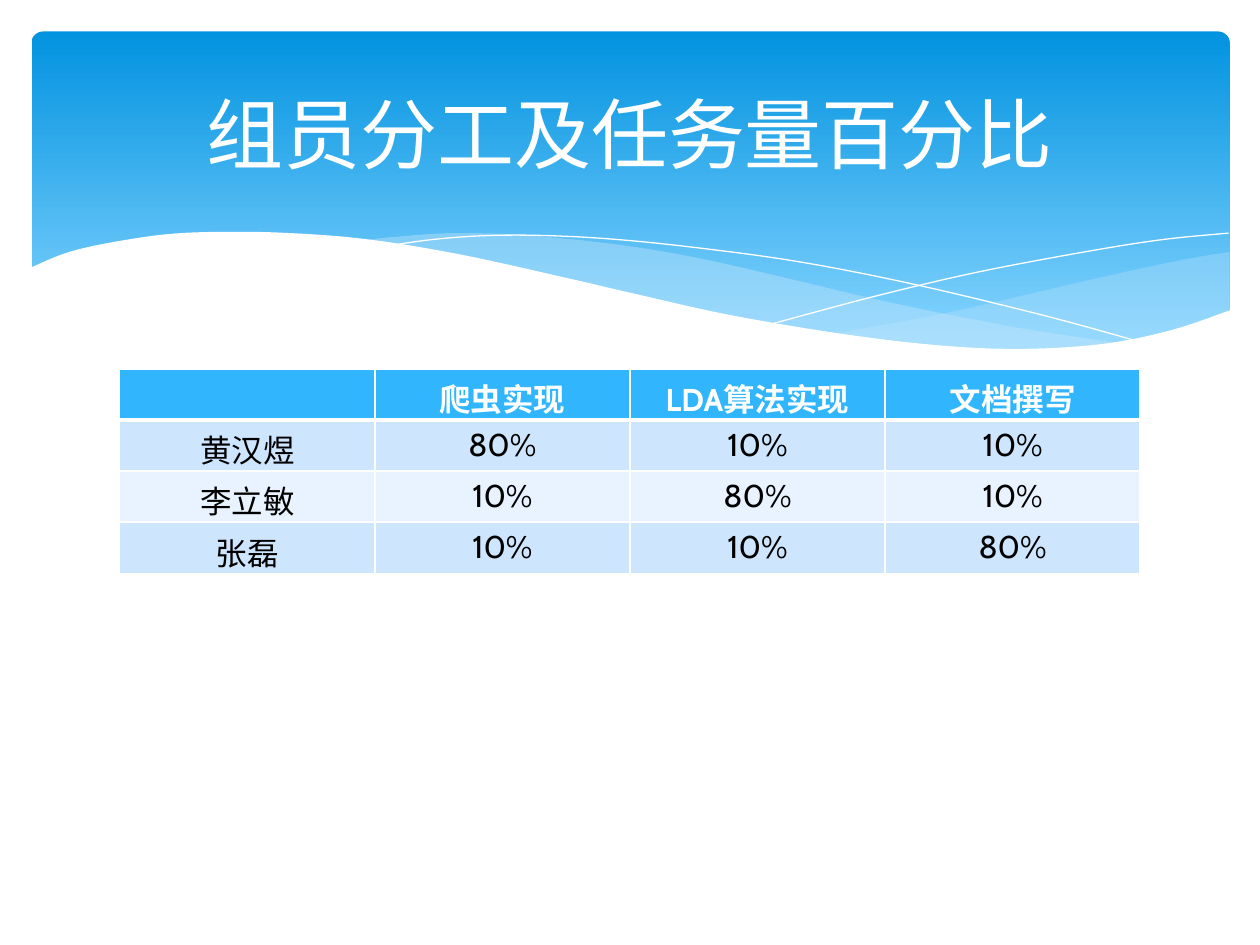
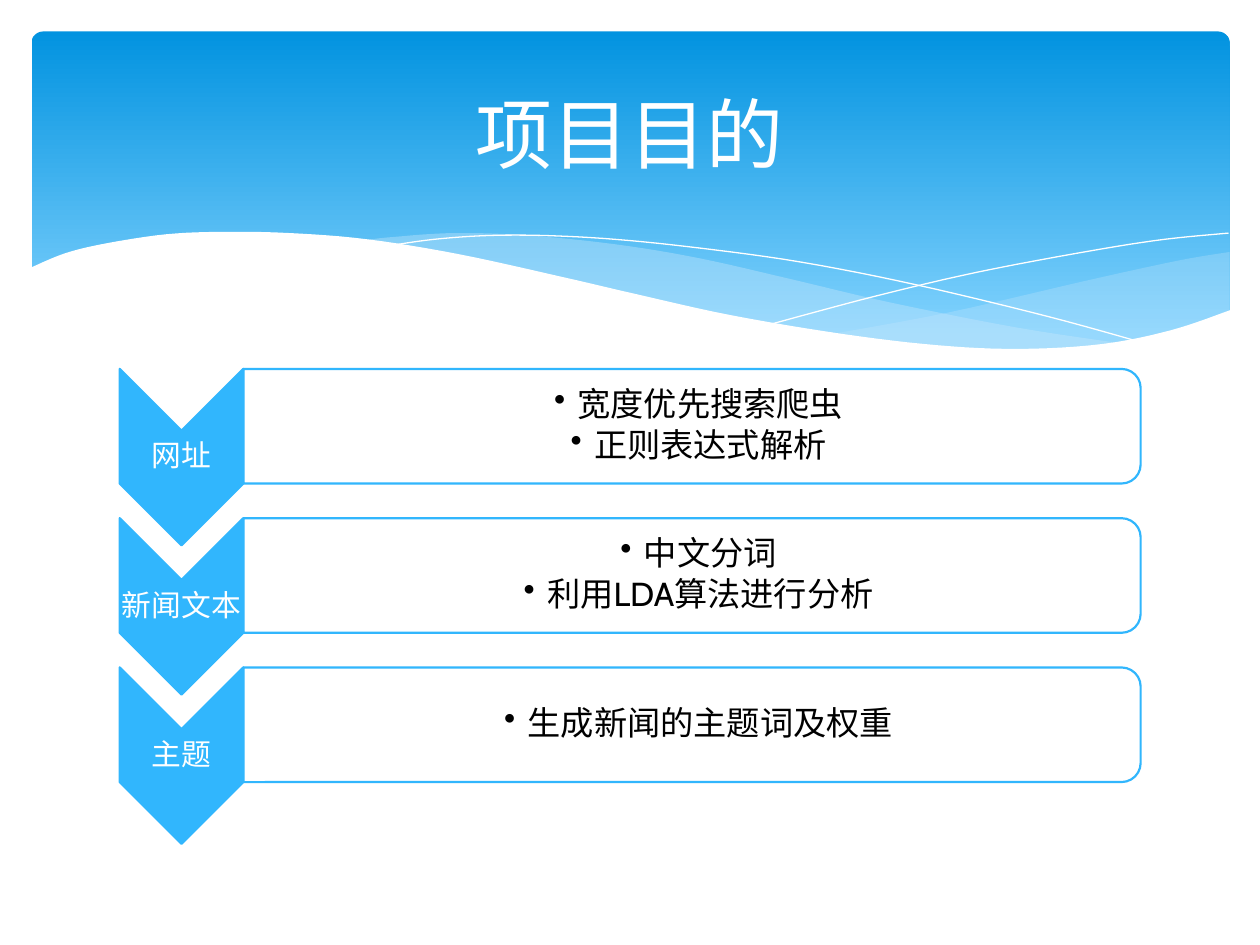
from lxml import etree
from pptx import Presentation
from pptx import util as u
from pptx.dml import color as dml
from pptx.enum import shapes, text
from pptx.oxml import ns

COLORS = {
    "white": "FFFFFF", "black": "000000", "accent": "31B6FD",
    "band_top": "0293E0", "band_bottom": "83D3FE", "wave": "C6E7FC",
    "row_odd": "CEE5FE", "row_even": "E8F3FF",
}
FONT = "Cabin"

# Wave outlines in points: each edge is smoothed, edges meet at corners
RIGHT_WAVE = [
    [(702.7, 144), (673, 149), (620, 160.6), (542, 178.6), (476, 190.8)],
    [(476, 190.8), (507.6, 195.1), (545, 198.7), (586, 200.2), (628, 197.3),
     (668, 189.4), (702.7, 177.8)],
]
MIDDLE_WAVE = [
    [(643, 196.6), (581, 187.2), (508.3, 172.8), (453, 159.8), (399.6, 147.6),
     (352, 139.7), (302.4, 134.6), (260, 133.2), (225.4, 135.4), (206, 137.5)],
    [(206, 137.5), (246.2, 143.3), (291, 151.9), (323.3, 159.8), (381.6, 172.8),
     (432.7, 183.6), (478.8, 191.5), (530, 198), (573, 200.2), (610.6, 199.4),
     (643, 196.6)],
]
FALLING_LINE = [
    [(222.5, 140.4), (247.7, 136.8), (278.6, 134.6), (311.8, 134.6), (352, 136.8),
     (400.3, 141.8), (458, 149.8), (523.4, 162.7), (598.3, 180.7), (653, 195.8)],
]
RISING_LINE = [
    [(441.4, 185), (500.4, 169.2), (558.7, 155.5), (623.5, 143.3), (665.3, 136.8),
     (702, 133.2)],
]
WHITE_COVER = [
    [(703.4, 177.1), (669.6, 188.6), (630, 196.6), (582.5, 199.4), (535.7, 197.3),
     (481, 190.8), (417, 180), (362.2, 167.8), (321.8, 158.4), (262.8, 145.4),
     (210.2, 136.8), (165.6, 133.2), (127.4, 132.5), (95, 133.9), (61.2, 139),
     (37.4, 144.7), (16.6, 153.4)],
    [(16.6, 237), (703.4, 237)],
]

WORKLOAD = [
    ["", "爬虫实现", "LDA算法实现", "文档撰写"],
    ["黄汉煜", "80%", "10%", "10%"],
    ["李立敏", "10%", "80%", "10%"],
    ["张磊", "10%", "10%", "80%"],
]
STEPS = [
    ("网址", ["宽度优先搜索爬虫", "正则表达式解析"]),
    ("新闻文本", ["中文分词", "利用LDA算法进行分析"]),
    ("主题", ["生成新闻的主题词及权重"]),
]


def rgb(name):
    return dml.RGBColor.from_string(COLORS[name])


def points(*values):
    return [u.Pt(value) for value in values]


def set_formats(target, formats):
    for name, value in formats.items():
        setattr(target, name, value)


def write_paragraph(paragraph, words, size, color, bold=False, **formats):
    set_formats(paragraph, {"alignment": text.PP_ALIGN.CENTER, **formats})
    run = paragraph.add_run()
    run.text = words
    set_formats(run.font, {"name": FONT, "size": u.Pt(size), "bold": bold})
    run.font.color.rgb = rgb(color)


def add_text(slide, box, lines, size, color, insets=(7.2, 3.6, 7.2, 3.6), **formats):
    frame = slide.shapes.add_textbox(*points(*box)).text_frame
    left, top, right, bottom = points(*insets)
    set_formats(frame, {
        "word_wrap": True, "vertical_anchor": text.MSO_ANCHOR.MIDDLE,
        "margin_left": left, "margin_top": top,
        "margin_right": right, "margin_bottom": bottom,
    })
    for index, line in enumerate(lines):
        paragraph = frame.add_paragraph() if index else frame.paragraphs[0]
        write_paragraph(paragraph, line, size, color, **formats)
    return frame


def add_bullet(paragraph, indent):
    properties = paragraph._p.get_or_add_pPr()
    properties.set("marL", str(u.Pt(indent)))
    properties.set("indent", str(-u.Pt(indent)))
    etree.SubElement(properties, ns.qn("a:buChar")).set("char", "•")


def paint(shape, fill=None, line=None, width=0, opacity=100):
    shape.shadow.inherit = False
    if fill:
        shape.fill.solid()
        shape.fill.fore_color.rgb = rgb(fill)
        if opacity < 100:
            tint = shape.element.spPr.find(".//" + ns.qn("a:srgbClr"))
            etree.SubElement(tint, ns.qn("a:alpha")).set("val", str(opacity * 1000))
    else:
        shape.fill.background()
    if line:
        shape.line.color.rgb = rgb(line)
        shape.line.width = u.Pt(width)
    else:
        shape.line.fill.background()


def smooth(edge, steps=6):
    """Return a Catmull-Rom curve through the points of an edge."""
    if len(edge) < 3:
        return edge
    padded = [edge[0], *edge, edge[-1]]
    curve = [edge[0]]
    for a, b, c, d in zip(padded, padded[1:], padded[2:], padded[3:]):
        for step in range(1, steps + 1):
            t = step / steps
            curve.append(tuple(
                (2 * q + (r - p) * t + (2 * p - 5 * q + 4 * r - s) * t ** 2
                 + (3 * q - p - 3 * r + s) * t ** 3) / 2
                for p, q, r, s in zip(a, b, c, d)))
    return curve


def add_wave(slide, edges, closed=True, **colors):
    outline = [points(*point) for edge in edges for point in smooth(edge)]
    builder = slide.shapes.build_freeform(*outline[0])
    builder.add_line_segments(outline[1:], close=closed)
    paint(builder.convert_to_shape(), **colors)


def add_banner(slide):
    band = slide.shapes.add_shape(
        shapes.MSO_SHAPE.ROUNDED_RECTANGLE, *points(18, 18, 684.7, 194.4))
    band.adjustments[0] = 0.034
    paint(band)
    band.fill.gradient()
    band.fill.gradient_angle = 270
    stops = [(0, "band_top"), (0.9, "band_bottom")]
    for stop, (position, color) in zip(band.fill.gradient_stops, stops):
        stop.position = position
        stop.color.rgb = rgb(color)
    add_wave(slide, RIGHT_WAVE, fill="wave", opacity=29)
    add_wave(slide, MIDDLE_WAVE, fill="wave", opacity=40)
    for line in (FALLING_LINE, RISING_LINE):
        add_wave(slide, line, closed=False, line="white")
    add_wave(slide, WHITE_COVER, fill="white")


def add_titled_slide(presentation, title):
    slide = presentation.slides.add_slide(presentation.slide_layouts[6])
    add_banner(slide)
    add_text(slide, (36, 26.6, 648, 98.6), [title], 44, "white")
    return slide


def set_borders(cell, widths):
    properties = cell._tc.get_or_add_tcPr()
    for side, width in widths.items():
        border = etree.SubElement(properties, ns.qn("a:ln" + side))
        border.set("w", str(u.Pt(width)))
        fill = etree.SubElement(border, ns.qn("a:solidFill"))
        etree.SubElement(fill, ns.qn("a:srgbClr")).set("val", COLORS["white"])


def add_workload_table(slide):
    table = slide.shapes.add_table(
        len(WORKLOAD), len(WORKLOAD[0]), *points(68.4, 210.8, 583.2, 116.8)).table
    for row, values in enumerate(WORKLOAD):
        header = row == 0
        fill = "accent" if header else "row_odd" if row % 2 else "row_even"
        for column, value in enumerate(values):
            cell = table.cell(row, column)
            set_borders(cell, {"L": 1, "R": 1, "T": 3 if row == 1 else 1,
                               "B": 3 if header else 1})
            cell.fill.solid()
            cell.fill.fore_color.rgb = rgb(fill)
            if value:
                write_paragraph(cell.text_frame.paragraphs[0], value, 18,
                                "white" if header else "black", bold=header)


def add_turned_shape(slide, kind, left, top, width, height, **colors):
    """Fill the given box with a shape turned a quarter clockwise."""
    shift = (width - height) / 2
    shape = slide.shapes.add_shape(
        kind, *points(left + shift, top - shift, height, width))
    shape.rotation = 90
    paint(shape, line="accent", width=1.25, **colors)


def add_step(slide, top, label, tasks):
    add_turned_shape(slide, shapes.MSO_SHAPE.CHEVRON,
                     68.4, top, 70.6, 100.8, fill="accent")
    add_text(slide, (68.4, top + 35.3, 70.6, 30.2), [label], 17, "white",
             insets=(0.7,) * 4, line_spacing=0.9)
    add_turned_shape(slide, shapes.MSO_SHAPE.ROUND_2_SAME_RECTANGLE,
                     139.2, top, 512.6, 65.5, fill="white", opacity=90)
    frame = add_text(slide, (139.2, top + 3.2, 509.8, 59), tasks, 19, "black",
                     insets=(10.8, 0.7, 0.7, 0.7), line_spacing=0.9,
                     space_after=u.Pt(2.85))
    for paragraph in frame.paragraphs:
        add_bullet(paragraph, 13.5)


def main():
    presentation = Presentation()
    set_formats(presentation, {"slide_width": u.Pt(720), "slide_height": u.Pt(540)})

    # Division of work
    add_workload_table(add_titled_slide(presentation, "组员分工及任务量百分比"))

    # Project goals
    goals = add_titled_slide(presentation, "项目目的")
    for index, (label, tasks) in enumerate(STEPS):
        add_step(goals, 210.8 + index * 85.3, label, tasks)

    presentation.save("out.pptx")


if __name__ == "__main__":
    main()
